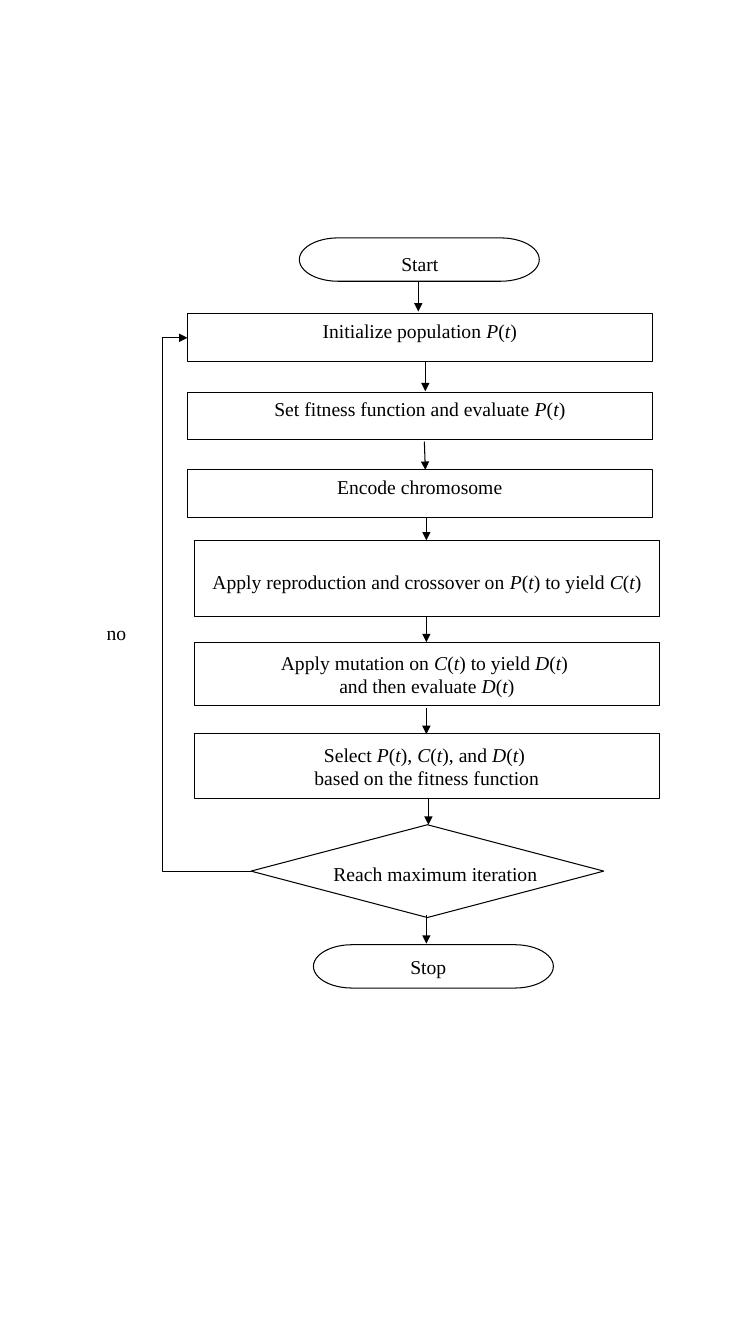
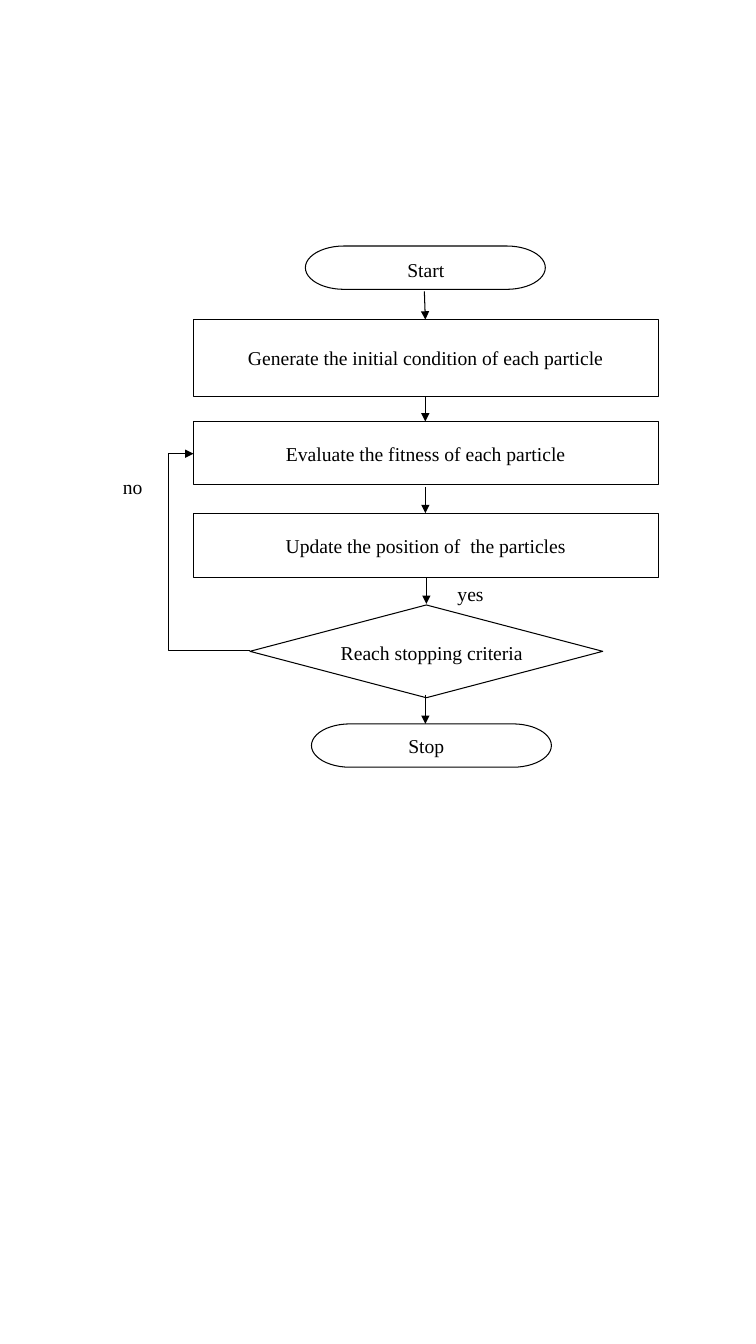
from lxml import etree
from pptx import Presentation
from pptx.dml.color import RGBColor
from pptx.enum.shapes import MSO_CONNECTOR, MSO_SHAPE
from pptx.enum.text import MSO_ANCHOR, PP_ALIGN
from pptx.oxml.ns import qn
from pptx.util import Inches, Pt

BLACK = RGBColor(0x00, 0x00, 0x00)
WHITE = RGBColor(0xFF, 0xFF, 0xFF)
FONT = "Times New Roman"
RECT = MSO_SHAPE.RECTANGLE
DECISION = MSO_SHAPE.FLOWCHART_DECISION
TERMINATOR = MSO_SHAPE.FLOWCHART_TERMINATOR
STRAIGHT, ELBOW = MSO_CONNECTOR.STRAIGHT, MSO_CONNECTOR.ELBOW
TOP, MIDDLE = MSO_ANCHOR.TOP, MSO_ANCHOR.MIDDLE
LEFT, CENTER = PP_ALIGN.LEFT, PP_ALIGN.CENTER

STEP_WIDTH = 4.61
DECISION_SIZE = (3.5, 0.92)
TERMINATOR_SIZE = (2.38, 0.43)
LABEL_HEIGHT = 0.34
LOOP_OFFSET = 0.25  # how far the loop runs left of the step it returns to

# steps: left, top, height, text, anchor, top inset (variables between asterisks)
# symbols: shape, left, top, size
# labels: left, top, width, text, alignment
# arrows: from x, from y, to x, to y, line width
# loop: left and top at the step, right and bottom at the decision
CHARTS = [
    {
        "steps": [
            (1.86, 3.11, 0.48, "Initialize population *P*(*t*)", TOP, 0.05),
            (1.86, 3.89, 0.47, "Set fitness function and evaluate *P*(*t*)", TOP, 0.05),
            (1.86, 4.66, 0.47, "Encode chromosome", TOP, 0.05),
            (1.93, 5.36, 0.76,
             "Apply reproduction and crossover on *P*(*t*) to yield *C*(*t*)", TOP, 0.29),
            (1.93, 6.37, 0.63,
             "Apply mutation on *C*(*t*) to yield *D*(*t*) \nand then evaluate *D*(*t*)",
             MIDDLE, 0.05),
            (1.93, 7.28, 0.64,
             "Select *P*(*t*), *C*(*t*), and* D*(*t*) \nbased on the fitness function",
             MIDDLE, 0.05),
        ],
        "symbols": [
            (TERMINATOR, 2.97, 2.36, TERMINATOR_SIZE),
            (DECISION, 2.49, 8.18, DECISION_SIZE),
            (TERMINATOR, 3.11, 9.37, TERMINATOR_SIZE),
        ],
        "labels": [
            (3.88, 2.45, 0.57, "Start", CENTER),
            (3.16, 8.5, 2.37, "Reach maximum iteration ", CENTER),
            (3.97, 9.42, 0.56, "Stop", CENTER),
            (0.96, 6.11, 0.57, "no", LEFT),
        ],
        "arrows": [
            (4.15, 2.79, 4.15, 3.09, 0.5),
            (4.22, 3.58, 4.22, 3.88, 0.75),
            (4.21, 4.38, 4.22, 4.66, 0.75),
            (4.23, 5.13, 4.23, 5.36, 0.75),
            (4.23, 6.11, 4.23, 6.37, 0.75),
            (4.23, 7.02, 4.23, 7.28, 0.75),
            (4.25, 7.92, 4.25, 8.18, 0.75),
            (4.23, 9.08, 4.23, 9.36, 0.75),
        ],
        "loop": (1.86, 3.35, 2.49, 8.64),
    },
    {
        "steps": [
            (1.92, 3.17, 0.76, "Generate the initial condition of each particle", MIDDLE, 0.05),
            (1.92, 4.18, 0.63, "Evaluate the fitness of each particle", MIDDLE, 0.05),
            (1.92, 5.09, 0.64, "Update the position of  the particles", MIDDLE, 0.05),
        ],
        "symbols": [
            (TERMINATOR, 3.03, 2.44, TERMINATOR_SIZE),
            (DECISION, 2.48, 6, DECISION_SIZE),
            (TERMINATOR, 3.09, 7.18, TERMINATOR_SIZE),
        ],
        "labels": [
            (3.94, 2.51, 0.57, "Start", CENTER),
            (3.27, 6.31, 2.03, "Reach stopping criteria", CENTER),
            (3.95, 7.23, 0.56, "Stop", CENTER),
            (1.12, 4.66, 0.57, "no", LEFT),
            (4.44, 5.72, 0.57, "yes", LEFT),
        ],
        "arrows": [
            (4.21, 2.89, 4.22, 3.17, 0.75),
            (4.22, 3.93, 4.22, 4.18, 0.75),
            (4.22, 4.83, 4.22, 5.09, 0.75),
            (4.23, 5.73, 4.23, 5.99, 0.75),
            (4.22, 6.89, 4.22, 7.18, 0.75),
        ],
        "loop": (1.92, 4.5, 2.48, 6.45),
    },
]


def write(box, text, align=CENTER, anchor=TOP, wrap=False, top_inset=0.05):
    """Fill a box line by line; parts between asterisks are italic."""
    frame = box.text_frame
    frame.word_wrap = wrap
    frame.vertical_anchor = anchor
    frame.margin_top = Inches(top_inset)
    for number, line in enumerate(text.split("\n")):
        para = frame.add_paragraph() if number else frame.paragraphs[0]
        para.alignment = align
        for index, part in enumerate(line.split("*")):
            if part:
                span = para.add_run()
                span.text = part
                span.font.name = FONT
                span.font.size = Pt(14)
                span.font.italic = index % 2 == 1
                span.font.color.rgb = BLACK


def add_arrow(page, kind, ends, width):
    arrow = page.shapes.add_connector(kind, *[Inches(value) for value in ends])
    arrow.line.color.rgb = BLACK
    arrow.line.width = Pt(width)
    etree.SubElement(arrow.line._get_or_add_ln(), qn("a:tailEnd"), type="triangle")
    etree.SubElement(arrow._element.spPr, qn("a:effectLst"))
    return arrow


deck = Presentation()
deck.slide_width = Inches(7.5)
deck.slide_height = Inches(13.33)

for chart in CHARTS:
    page = deck.slides.add_slide(deck.slide_layouts[6])

    steps = [(RECT, left, top, (STEP_WIDTH, height), text, anchor, inset)
             for left, top, height, text, anchor, inset in chart["steps"]]
    symbols = [(*symbol, "", MIDDLE, 0.05) for symbol in chart["symbols"]]
    for kind, left, top, (width, height), text, anchor, inset in steps + symbols:
        box = page.shapes.add_shape(
            kind, Inches(left), Inches(top), Inches(width), Inches(height))
        box.shadow.inherit = False
        box.fill.solid()
        box.fill.fore_color.rgb = WHITE
        box.line.color.rgb = BLACK
        box.line.width = Pt(0.75)
        write(box, text, anchor=anchor, wrap=anchor == TOP, top_inset=inset)

    for left, top, width, text, align in chart["labels"]:
        label = page.shapes.add_textbox(
            Inches(left), Inches(top), Inches(width), Inches(LABEL_HEIGHT))
        write(label, text, align=align, wrap=align == LEFT)

    for *ends, width in chart["arrows"]:
        add_arrow(page, STRAIGHT, ends, width)

    # Half a turn makes the loop start at the decision and end at the step.
    loop = add_arrow(page, ELBOW, chart["loop"], 0.5)
    loop.rotation = 180 if hasattr(loop, "rotation") else 0
    loop._element.spPr.find(qn("a:xfrm")).set("rot", str(180 * 60000))
    left, _, right, _ = chart["loop"]
    bend = round(100000 * (1 + LOOP_OFFSET / (right - left)))
    guides = loop._element.spPr.find(qn("a:prstGeom")).get_or_add_avLst()
    etree.SubElement(guides, qn("a:gd"), name="adj1", fmla=f"val {bend}")

deck.save("out.pptx")
